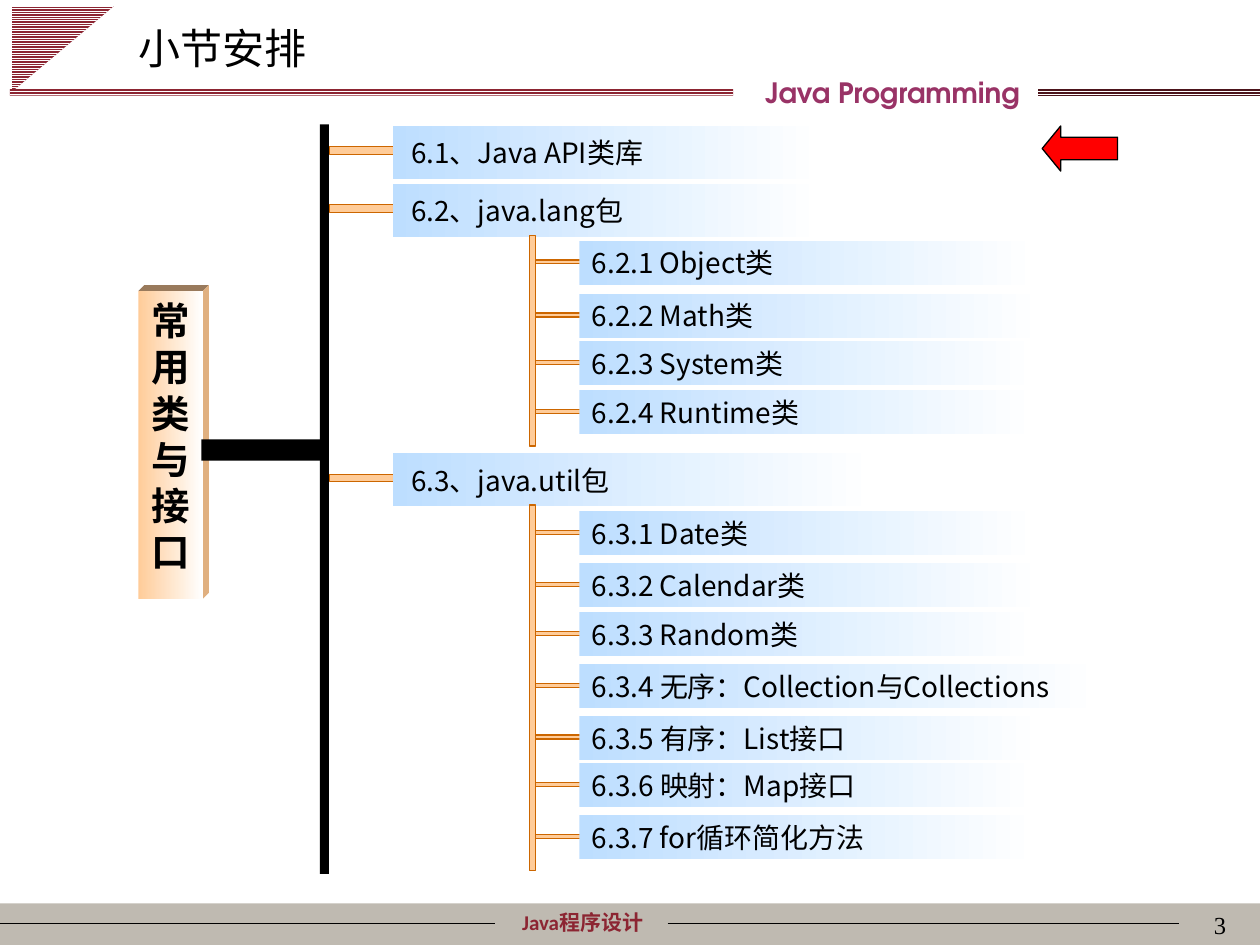
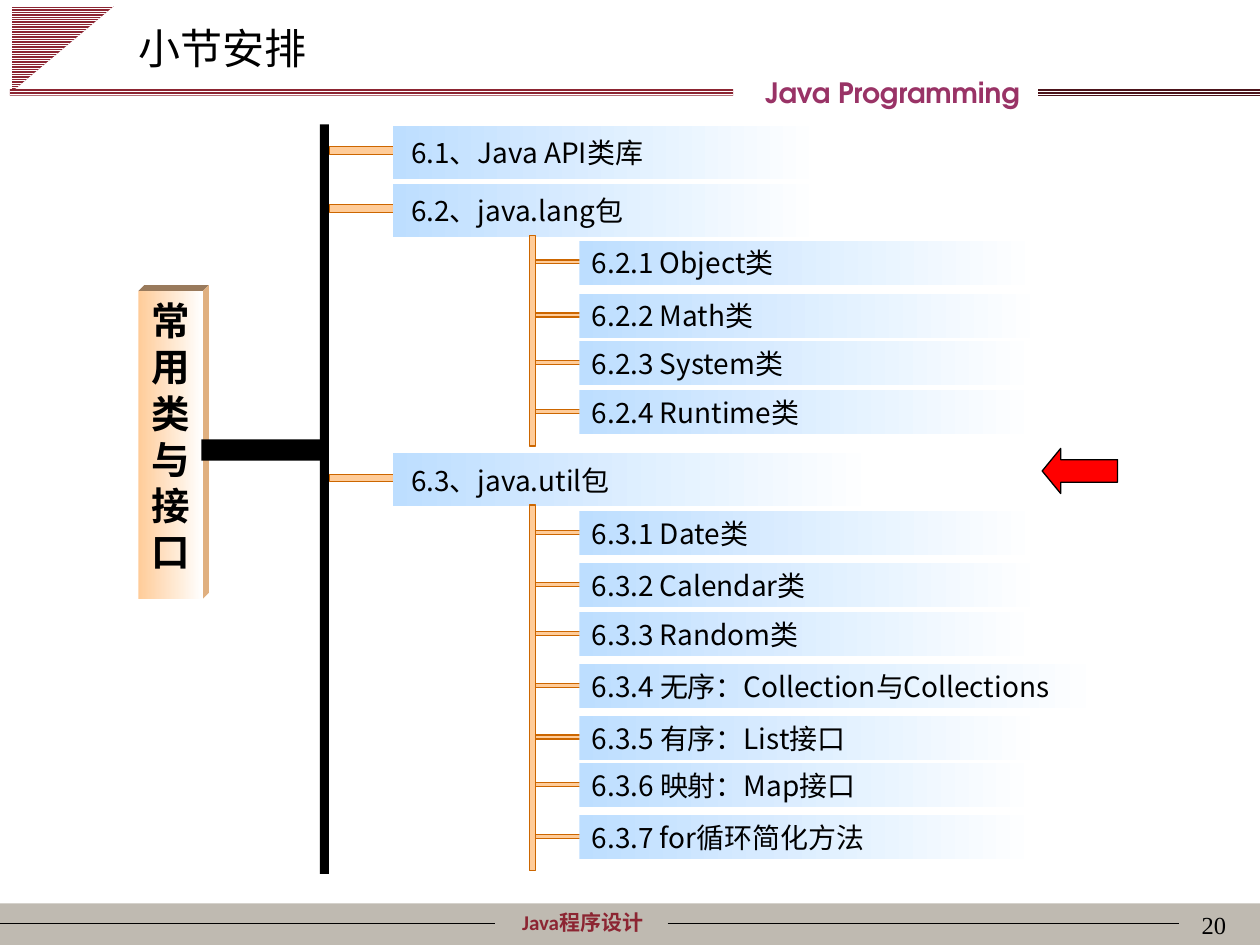
from lxml import etree
from pptx import Presentation
from pptx.dml.color import RGBColor
from pptx.enum.dml import MSO_PATTERN
from pptx.enum.shapes import MSO_CONNECTOR, MSO_SHAPE
from pptx.enum.text import MSO_ANCHOR, PP_ALIGN
from pptx.oxml.ns import qn
from pptx.util import Cm, Pt

RECT, ARROW, TRIANGLE = MSO_SHAPE.RECTANGLE, MSO_SHAPE.LEFT_ARROW, MSO_SHAPE.RIGHT_TRIANGLE
STRAIGHT = MSO_CONNECTOR.STRAIGHT
STRIPES = MSO_PATTERN.LIGHT_HORIZONTAL
LEFT, CENTER, RIGHT = PP_ALIGN.LEFT, PP_ALIGN.CENTER, PP_ALIGN.RIGHT
TOP, MIDDLE = MSO_ANCHOR.TOP, MSO_ANCHOR.MIDDLE

BLACK, WHITE, RED = "000000", "FFFFFF", "FF0000"
WINE, DARK_WINE, PLUM, FOOTER_GREY = "8C2532", "4C141B", "993366", "BFBAB1"
PEACH, ORANGE, SKY = "FFCC99", "CC6600", "BDDEFF"
PEACH_TOP, PEACH_SIDE = "997A5C", "E0B080"
BODY_FONT = "Noto Sans CJK SC"

# Sections: top, width, text, height of the branch, and topics (top, width, text)
SECTIONS = [
    (2.54, 8.66, "6.1、Java API类库", 0, []),
    (3.71, 8.66, "6.2、java.lang包", 4.24, [
        (4.85, 9.27, "6.2.1 Object类"),
        (5.92, 9.37, "6.2.2 Math类"),
        (6.88, 9.25, "6.2.3 System类"),
        (7.87, 9.25, "6.2.4 Runtime类"),
    ]),
    (9.14, 9.73, "6.3、java.util包", 7.37, [
        (10.31, 9.27, "6.3.1 Date类"),
        (11.35, 9.37, "6.3.2 Calendar类"),
        (12.34, 9.25, "6.3.3 Random类"),
        (13.39, 10.54, "6.3.4 无序：Collection与Collections"),
        (14.43, 9.37, "6.3.5 有序：List接口"),
        (15.39, 9.25, "6.3.6 映射：Map接口"),
        (16.43, 9.25, "6.3.7 for循环简化方法"),
    ]),
]


def color(hex_code):
    return RGBColor.from_string(hex_code)


def add_block(slide, left, top, width, height, fill, line=None, kind=RECT):
    block = slide.shapes.add_shape(kind, Cm(left), Cm(top), Cm(width), Cm(height))
    block.shadow.inherit = False
    block.fill.solid()
    block.fill.fore_color.rgb = color(fill)
    if line:
        block.line.color.rgb = color(line)
        block.line.width = Pt(0.75)
    else:
        block.line.fill.background()
    return block


def add_fading_block(slide, left, top, width, height, start):
    block = add_block(slide, left, top, width, height, start)
    block.fill.gradient()
    block.fill.gradient_angle = 0
    for stop, shade in zip(block.fill.gradient_stops, (start, WHITE)):
        stop.color.rgb = color(shade)
    return block


def add_striped_block(slide, left, top, width, height, back, kind=RECT):
    block = add_block(slide, left, top, width, height, back, kind=kind)
    block.fill.patterned()
    block.fill.pattern = STRIPES
    block.fill.fore_color.rgb = color(WHITE)
    block.fill.back_color.rgb = color(back)
    return block


def add_face(slide, points, fill):
    corners = [(Cm(x), Cm(y)) for x, y in points]
    builder = slide.shapes.build_freeform(*corners[0])
    builder.add_line_segments(corners[1:])
    face = builder.convert_to_shape()
    face.shadow.inherit = False
    face.fill.solid()
    face.fill.fore_color.rgb = color(fill)
    face.line.fill.background()


def add_rule(slide, left, right, y):
    rule = slide.shapes.add_connector(STRAIGHT, Cm(left), Cm(y), Cm(right), Cm(y))
    rule.line.color.rgb = color(BLACK)
    rule.line.width = Pt(0.75)
    etree.SubElement(rule._element.spPr, qn("a:effectLst"))


def write(shape, text, size, font=BODY_FONT, shade=BLACK, bold=False,
          align=LEFT, anchor=MIDDLE, inset=0.25, wrap=True):
    frame = shape.text_frame
    frame.word_wrap = wrap
    frame.vertical_anchor = anchor
    frame.margin_left = frame.margin_right = Cm(inset)
    frame.margin_top = frame.margin_bottom = Cm(0.13)
    para = frame.paragraphs[0]
    para.alignment = align
    span = para.add_run()
    span.text = text
    span.font.name = font
    span.font.size = Pt(size)
    span.font.bold = bold
    span.font.color.rgb = color(shade)
    east_asian = etree.Element(qn("a:ea"), typeface=BODY_FONT)
    span.font._element.find(qn("a:latin")).addnext(east_asian)
    return para


def add_label(slide, left, top, width, height, text, size, **style):
    box = slide.shapes.add_textbox(Cm(left), Cm(top), Cm(width), Cm(height))
    write(box, text, size, **style)


def add_frame(slide, number):
    # Footer band
    add_block(slide, 0, 18.21, 25.4, 0.84, FOOTER_GREY)
    add_label(slide, 9.19, 18.21, 5.11, 0.76, "Java程序设计", 12, font="Calibri",
              shade=WINE, bold=True, align=CENTER, anchor=TOP)
    add_rule(slide, 0, 9.98, 18.62)
    add_rule(slide, 13.46, 23.77, 18.62)
    add_label(slide, 19.69, 18.21, 5.28, 1.27, str(number), 14,
              font="Times New Roman", align=RIGHT, anchor=TOP)
    # Header stripes and course name
    corner = add_striped_block(slide, 0.41, -0.05, 1.73, 2.06, WINE, TRIANGLE)
    corner.rotation = 90
    add_striped_block(slide, 20.93, 1.8, 4.47, 0.15, DARK_WINE)
    add_striped_block(slide, 0.2, 1.8, 14.58, 0.13, WINE)
    add_label(slide, 12.9, 1.4, 10.19, 0.94, "Java Programming", 16,
              font="TeX Gyre Adventor", shade=PLUM, bold=True, align=CENTER)


def set_title(slide, text):
    title = slide.shapes.title
    title.left, title.top, title.width, title.height = Cm(2.54), Cm(0.33), Cm(7.24), Cm(1.27)
    write(title, text, 24)


def add_chapter(slide, text):
    left, top, width, height, depth = 2.79, 5.87, 1.3, 6.2, 0.12
    right, bottom = left + width, top + height
    add_face(slide, [(left, top), (left + depth, top - depth),
                     (right + depth, top - depth), (right, top)], PEACH_TOP)
    add_face(slide, [(right, top), (right + depth, top - depth),
                     (right + depth, bottom - depth), (right, bottom)], PEACH_SIDE)
    block = add_fading_block(slide, left, top, width, height, PEACH)
    para = write(block, text, 22, bold=True, align=CENTER, anchor=TOP, inset=0.1)
    para.line_spacing = Pt(26.3)
    # Thick trunk
    add_block(slide, 4.06, 8.86, 2.54, 0.43, BLACK)
    add_block(slide, 6.45, 2.51, 0.18, 15.11, BLACK)


def add_section(slide, top, width, text, branch_height, topics):
    add_block(slide, 6.65, top + 0.42, 1.3, 0.15, PEACH, ORANGE)
    block = add_fading_block(slide, 7.92, top, width, 1.07, SKY)
    write(block, text, 16, inset=0.37, wrap=False)
    for topic_top, topic_width, topic in topics:
        add_block(slide, 10.72, topic_top + 0.39, 1.3, 0.08, PEACH, ORANGE)
        bar = add_fading_block(slide, 11.68, topic_top, topic_width, 0.89, SKY)
        write(bar, topic, 16, wrap=False)
    if topics:
        add_block(slide, 10.67, top + 1.04, 0.13, branch_height, PEACH, ORANGE)


def add_agenda(deck, number, arrow_top):
    slide = deck.slides.add_slide(deck.slide_layouts[5])
    add_frame(slide, number)
    set_title(slide, "小节安排")
    add_chapter(slide, "常用类与接口")
    for section in SECTIONS:
        add_section(slide, *section)
    # Marker of the current section
    arrow = add_block(slide, 21.01, arrow_top, 1.52, 0.91, RED, BLACK, ARROW)
    arrow.adjustments[0], arrow.adjustments[1] = 0.5, 0.41


def main():
    deck = Presentation()
    deck.slide_width, deck.slide_height = Cm(25.4), Cm(19.05)
    add_agenda(deck, 3, 2.54)
    add_agenda(deck, 20, 9.04)
    deck.save("out.pptx")


if __name__ == "__main__":
    main()
